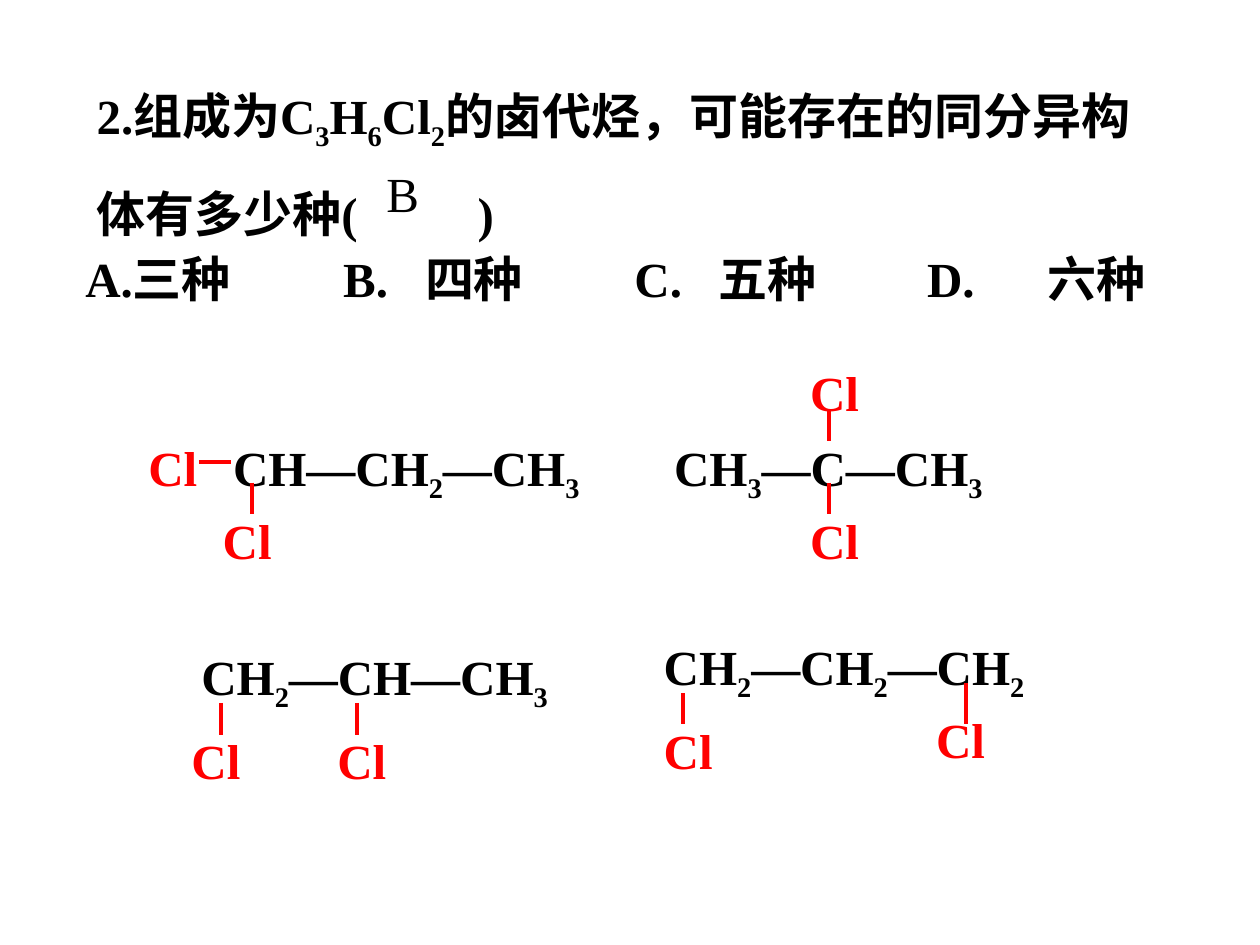
"""Build a quiz slide on the isomers of C3H6Cl2 with four structural formulas."""
from lxml import etree
from pptx import Presentation
from pptx.dml.color import RGBColor
from pptx.enum.shapes import MSO_CONNECTOR
from pptx.enum.text import MSO_AUTO_SIZE
from pptx.oxml.ns import qn
from pptx.util import Cm, Pt

BLACK = RGBColor(0x00, 0x00, 0x00)
RED = RGBColor(0xFF, 0x00, 0x00)
STRAIGHT = MSO_CONNECTOR.STRAIGHT
FIT_SHAPE = MSO_AUTO_SIZE.SHAPE_TO_FIT_TEXT


def add_text(shapes, left, top, width, height, lines, color=BLACK, bold=True, tabs=()):
    """Add a text box in which an underscore lowers the character after it."""
    box = shapes.add_textbox(Cm(left), Cm(top), Cm(width), Cm(height))
    frame = box.text_frame
    frame.word_wrap = True
    frame.auto_size = FIT_SHAPE
    for index, line in enumerate(lines):
        if index:
            paragraph = frame.add_paragraph()
            paragraph.space_before = Pt(17.5)
        else:
            paragraph = frame.paragraphs[0]
        if tabs:
            tab_list = etree.SubElement(paragraph._p.get_or_add_pPr(), qn("a:tabLst"))
            for position in tabs:
                etree.SubElement(tab_list, qn("a:tab"), pos=str(Cm(position)), algn="l")
        first, *rest = line.split("_")
        pieces = [(first, False)]
        for part in rest:
            pieces += [(part[0], True), (part[1:], False)]
        for text, lowered in pieces:
            if not text:
                continue
            run = paragraph.add_run()
            run.text = text
            run.font.name = "Times New Roman"
            run.font.size = Pt(28)
            run.font.bold = bold
            run.font.color.rgb = color
            if lowered:
                run.font._element.set("baseline", "-25000")


def add_bond(shapes, x1, y1, x2, y2):
    """Add a red bond line without a shadow."""
    bond = shapes.add_connector(STRAIGHT, Cm(x1), Cm(y1), Cm(x2), Cm(y2))
    bond.line.color.rgb = RED
    bond.line.width = Pt(2.25)
    etree.SubElement(bond._element.spPr, qn("a:effectLst"))


prs = Presentation()
prs.slide_width = Cm(25.4)
prs.slide_height = Cm(19.05)
slide = prs.slides.add_slide(prs.slide_layouts[6])

question = ["2.组成为C_3H_6Cl_2的卤代烃，可能存在的同分异构", "体有多少种(\t)"]
add_text(slide.shapes, 1.7, 1.6, 22.5, 3.4, question, tabs=[7.68])

options = ["A.三种\tB.\t四种\tC.\t五种\tD.\t六种"]
add_text(slide.shapes, 1.47, 4.88, 22.23, 1.45, options,
         tabs=[5.2, 6.85, 11.07, 12.77, 16.97, 19.4])

# formula, (left, top, width), chlorine corners, bond ends
molecules = [
    ("CH—CH_2—CH_3", (4.45, 8.69, 8.05),
     [(2.74, 8.69), (4.24, 10.16)],
     [(5.08, 9.73, 5.08, 10.36), (4.01, 9.32, 4.65, 9.32)]),
    ("CH_3—C—CH_3", (13.34, 8.69, 6.99),
     [(16.08, 10.16), (16.08, 7.19)],
     [(16.71, 8.26, 16.71, 8.89), (16.71, 9.73, 16.71, 10.36)]),
    ("CH_2—CH—CH_3", (3.81, 12.9, 8.26),
     [(3.61, 14.6), (6.55, 14.6)],
     [(4.45, 14.17, 4.45, 14.81), (7.19, 14.17, 7.19, 14.81)]),
    ("CH_2—CH_2—CH_2", (13.13, 12.7, 8.89),
     [(13.13, 14.4), (18.62, 14.17)],
     [(13.77, 13.97, 13.77, 14.6), (19.48, 13.77, 19.48, 14.6)]),
]
for formula, (left, top, width), chlorines, bonds in molecules:
    molecule = slide.shapes.add_group_shape().shapes
    add_text(molecule, left, top, width, 1.6, [formula])
    for chlorine_left, chlorine_top in chlorines:
        add_text(molecule, chlorine_left, chlorine_top, 1.7, 1.45, ["Cl"], RED)
    for bond_ends in bonds:
        add_bond(molecule, *bond_ends)

add_text(slide.shapes, 7.54, 3.18, 1.78, 1.45, ["B"], bold=False)

prs.save("out.pptx")
